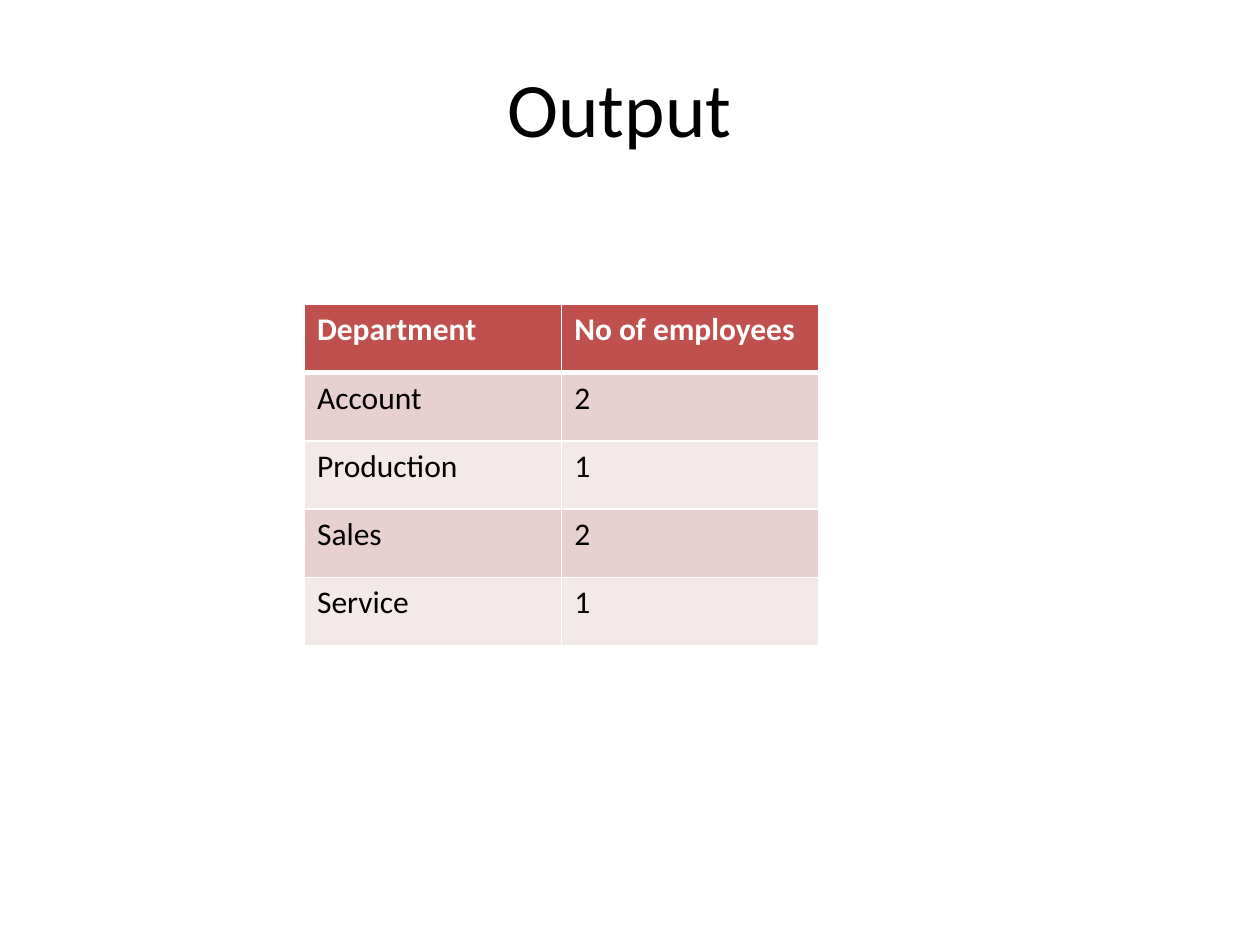
from dataclasses import dataclass

from lxml.etree import SubElement
from pptx import Presentation
from pptx.dml.color import RGBColor
from pptx.enum.text import MSO_ANCHOR, PP_ALIGN
from pptx.oxml.ns import qn
from pptx.util import Pt


@dataclass(frozen=True)
class Theme:
    font: str = "Calibri"
    ink: str = "000000"
    paper: str = "FFFFFF"
    head: str = "C0504D"
    bands: tuple = ("E8D0D0", "F4E9E9")
    title: int = 44
    body: int = 18
    thin: int = 1
    thick: int = 3


class Deck:
    def __init__(self, theme, width, height):
        self.theme = theme
        self.file = Presentation()
        self.file.slide_width, self.file.slide_height = Pt(width), Pt(height)
        self.slide = self.file.slides.add_slide(self.file.slide_layouts[5])

    def style(self, para, size, color, bold=False):
        for run in para.runs:
            font = run.font
            font.name, font.size, font.bold = self.theme.font, Pt(size), bold
            font.color.rgb = RGBColor.from_string(color)

    def title(self, text, left, top, width, height):
        box = self.slide.shapes.title
        box.left, box.top, box.width, box.height = map(Pt, (left, top, width, height))
        box.text_frame.text = text
        box.text_frame.vertical_anchor = MSO_ANCHOR.MIDDLE
        para = box.text_frame.paragraphs[0]
        para.alignment = PP_ALIGN.CENTER
        self.style(para, self.theme.title, self.theme.ink)

    def border(self, cell, top, bottom):
        thin = self.theme.thin
        props = cell._tc.get_or_add_tcPr()
        sides = {"a:lnL": thin, "a:lnR": thin, "a:lnT": top, "a:lnB": bottom}
        # Lines come before the fill in the cell properties
        for place, (side, width) in enumerate(sides.items()):
            line = SubElement(props, qn(side), w=str(Pt(width)))
            fill = SubElement(line, qn("a:solidFill"))
            SubElement(fill, qn("a:srgbClr"), val=self.theme.paper)
            props.insert(place, line)

    def table(self, data, left, top, col, row):
        look = self.theme
        rows, cols = len(data), len(data[0])
        grid = self.slide.shapes.add_table(
            rows, cols, Pt(left), Pt(top), Pt(col * cols), Pt(row * rows)).table
        for r, line in enumerate(data):
            fill = look.bands[(r - 1) % 2] if r else look.head
            ink = look.ink if r else look.paper
            # The heavy rule runs between the header and the first row
            above = look.thick if r == 1 else look.thin
            below = look.thin if r else look.thick
            for c, text in enumerate(line):
                cell = grid.cell(r, c)
                cell.text_frame.text = text
                self.style(cell.text_frame.paragraphs[0], look.body, ink, r == 0)
                cell.fill.solid()
                cell.fill.fore_color.rgb = RGBColor.from_string(fill)
                self.border(cell, above, below)

    def save(self):
        self.file.save("out.pptx")


def main():
    deck = Deck(Theme(), 720, 540)

    # Heading
    deck.title("Output", 30, 16, 648, 90)

    # Employees per department
    staff = [
        ("Department", "No of employees"),
        ("Account", "2"),
        ("Production", "1"),
        ("Sales", "2"),
        ("Service", "1"),
    ]
    deck.table(staff, left=174, top=174, col=147, row=39)

    deck.save()


if __name__ == "__main__":
    main()
